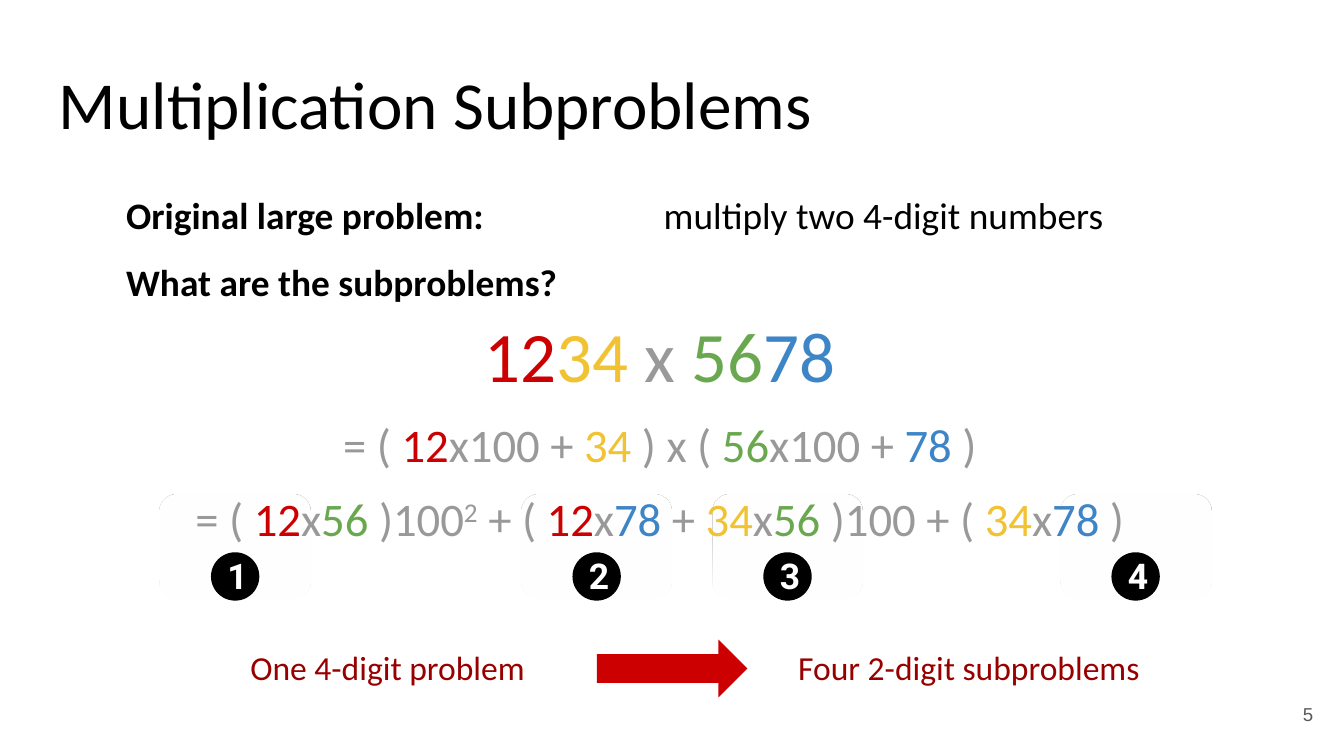
from dataclasses import dataclass

from pptx import Presentation, oxml, util as u
from pptx.dml.color import RGBColor
from pptx.enum import shapes, text
from pptx.oxml import ns

Kind = shapes.MSO_SHAPE
Side = text.PP_ALIGN
Edge = text.MSO_ANCHOR


@dataclass(frozen=True)
class Theme:
    font: str = "Calibri"
    badge: str = "Roboto"
    foot: str = "Arial"
    black: str = "000000"
    white: str = "FFFFFF"
    gray: str = "999999"
    red: str = "CC0000"
    gold: str = "F1C232"
    green: str = "6AA84F"
    blue: str = "3D85C6"
    dark: str = "980000"
    slate: str = "595959"
    title: int = 36
    large: int = 38
    math: int = 25
    body: int = 20
    disc: int = 19
    note: int = 18
    page: int = 10


@dataclass(frozen=True)
class Box:
    left: float
    top: float
    width: float
    height: float

    def place(self) -> tuple:
        return tuple(u.Inches(n) for n in (self.left, self.top, self.width, self.height))


@dataclass(frozen=True)
class Label:
    words: str
    box: Box
    size: int
    color: str
    side: Side = Side.LEFT
    edge: Edge = Edge.TOP
    font: str = "Calibri"


T = Theme()
HUES = {"12": T.red, "34": T.gold, "56": T.green, "78": T.blue}
LINES = [
    ("12|34 |x |56|78", T.large),
    ("= ( |12|x100 + |34 |) x ( |56|x100 + |78 |)", T.math),
    ("= ( |12|x|56 |)100|^2| + ( |12|x|78| + |34|x|56 |)100 + ( |34|x|78 |)", T.math),
]
LABELS = [
    Label("Multiplication Subproblems", Box(0.34, 0.41, 9.32, 0.71), T.title, T.black,
          edge=Edge.MIDDLE),
    Label("One 4-digit problem", Box(1.62, 4.71, 2.53, 0.71), T.note, T.dark, Side.CENTER),
    Label("Four 2-digit subproblems", Box(5.54, 4.71, 3.34, 0.71), T.note, T.dark, Side.CENTER),
    Label("5", Box(9.27, 5.1, 0.6, 0.43), T.page, T.slate, Side.RIGHT, Edge.MIDDLE, T.foot),
]
PROMPTS = [
    (1.28, "Original large problem: \t\t", "multiply two 4-digit numbers"),
    (1.78, "What are the subproblems?", ""),
]
PARTS = [1.19, 3.88, 5.3, 7.89]


def style(font, name: str, size: int, color: str) -> None:
    font.name = name
    font.size = u.Pt(size)
    font.color.rgb = RGBColor.from_string(color)


def pad(frame, edge: Edge = Edge.TOP) -> None:
    frame.word_wrap = True
    frame.vertical_anchor = edge
    frame.margin_left = frame.margin_right = u.Inches(0.1)
    frame.margin_top = frame.margin_bottom = u.Inches(0.1)


def add_text(slide, box: Box, edge: Edge = Edge.TOP):
    frame = slide.shapes.add_textbox(*box.place()).text_frame
    pad(frame, edge)
    return frame


def add_label(slide, label: Label) -> None:
    para = add_text(slide, label.box, label.edge).paragraphs[0]
    para.text = label.words
    para.alignment = label.side
    style(para.font, label.font, label.size, label.color)


def add_prompt(slide, top: float, head: str, tail: str) -> None:
    para = add_text(slide, Box(0.34, top, 9.15, 0.56)).paragraphs[0]
    para.line_spacing = 1.15
    props = para._p.get_or_add_pPr()
    props.set("marL", str(u.Inches(0.5)))
    props.set("indent", "0")
    props.set("defTabSz", str(u.Inches(1)))
    style(para.font, T.font, T.body, T.black)
    for words, bold in ((head, True), (tail, False)):
        if words:
            run = para.add_run()
            run.text = words
            run.font.bold = bold


def add_shape(slide, kind: Kind, box: Box, color: str):
    shape = slide.shapes.add_shape(kind, *box.place())
    shape.shadow.inherit = False
    shape.fill.solid()
    shape.fill.fore_color.rgb = RGBColor.from_string(color)
    shape.line.fill.background()
    return shape


def add_fade(slide, left: float) -> None:
    shape = add_shape(slide, Kind.ROUNDED_RECTANGLE, Box(left, 3.68, 1.12, 0.77), T.white)
    stops = "".join(
        f'<a:gs pos="{spot * 1000}"><a:srgbClr val="{T.white}">'
        f'<a:alpha val="{alpha * 1000}"/></a:srgbClr></a:gs>'
        for spot, alpha in ((0, 100), (42, 100), (100, 0)))
    fade = oxml.parse_xml(
        f'<a:gradFill {ns.nsdecls("a")}><a:gsLst>{stops}</a:gsLst>'
        '<a:lin ang="5400000" scaled="0"/></a:gradFill>')
    props = shape._element.spPr
    props.replace(props.find(ns.qn("a:solidFill")), fade)


def add_disc(slide, left: float, mark: int) -> None:
    shape = add_shape(slide, Kind.OVAL, Box(left + 0.38, 4.11, 0.36, 0.36), T.black)
    frame = shape.text_frame
    pad(frame, Edge.MIDDLE)
    frame.margin_left = u.Inches(0.07)
    frame.margin_top = u.Inches(0.08)
    para = frame.paragraphs[0]
    para.text = str(mark)
    para.alignment = Side.CENTER
    style(para.font, T.badge, T.disc, T.white)
    para.font.bold = True


def add_math(slide) -> None:
    frame = add_text(slide, Box(0.3, 2.22, 9.4, 1.82))
    frame.margin_right = u.Inches(0.28)
    for row, (line, size) in enumerate(LINES):
        para = frame.add_paragraph() if row else frame.paragraphs[0]
        para.alignment = Side.CENTER
        para.space_before = u.Pt(10 if row else 0)
        for part in line.split("|"):
            run = para.add_run()
            run.text = part.lstrip("^")
            style(run.font, T.font, size, HUES.get(part.strip(), T.gray))
            if part.startswith("^"):
                run.font._element.set("baseline", "30000")


def main() -> None:
    deck = Presentation()
    deck.slide_width = u.Inches(10)
    deck.slide_height = deck.slide_width * 9 // 16
    slide = deck.slides.add_slide(deck.slide_layouts[6])
    for prompt in PROMPTS:
        add_prompt(slide, *prompt)
    for left in PARTS:
        add_fade(slide, left)
    add_math(slide)
    for mark, left in enumerate(PARTS, 1):
        add_disc(slide, left, mark)
    for label in LABELS:
        add_label(slide, label)
    add_shape(slide, Kind.RIGHT_ARROW, Box(4.44, 4.76, 1.12, 0.43), T.red)
    deck.save("out.pptx")


if __name__ == "__main__":
    main()
